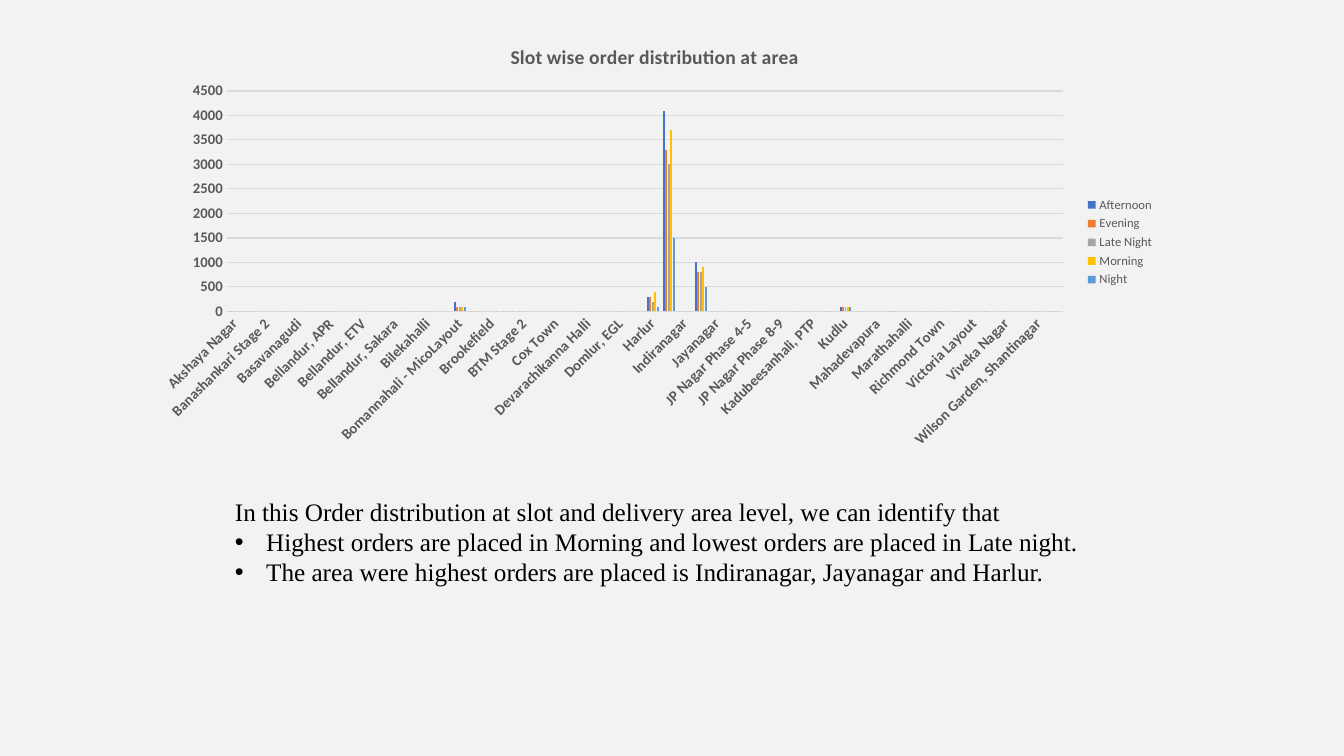
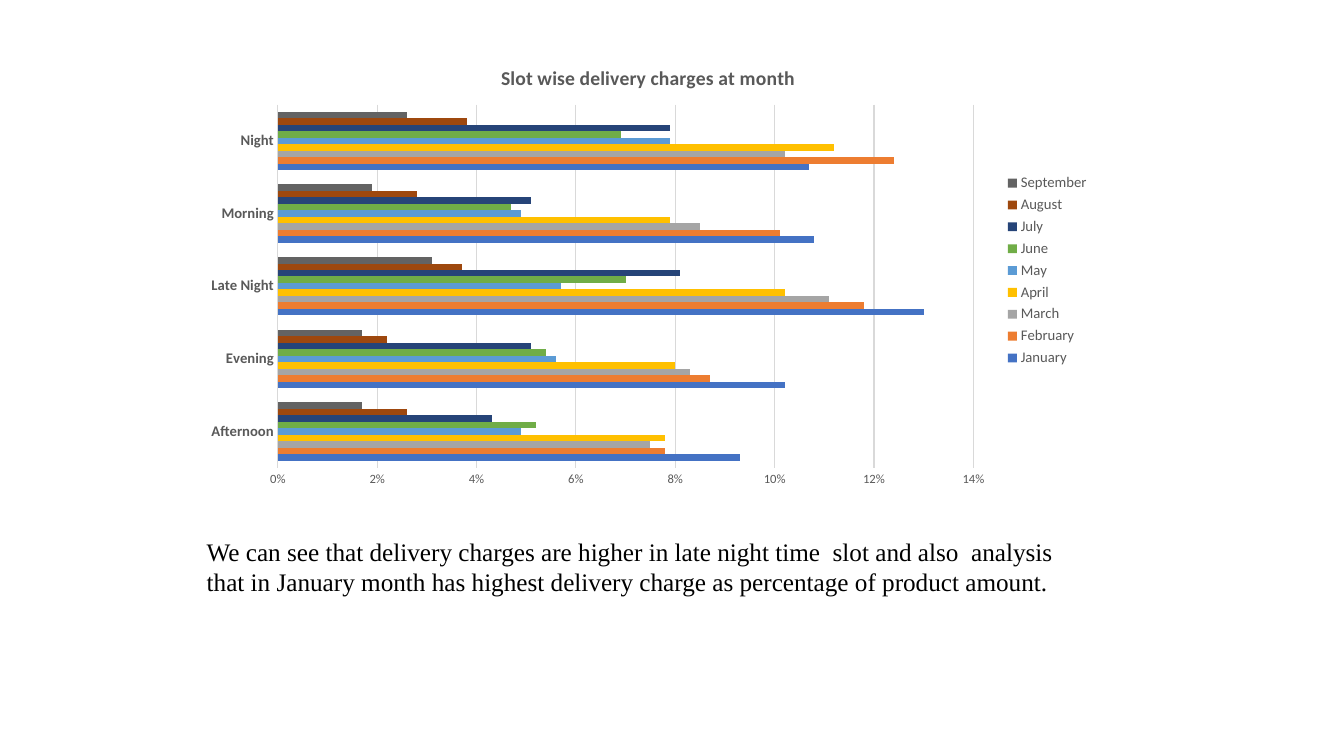
from lxml import etree
from pptx import Presentation
from pptx.chart.data import CategoryChartData
from pptx.dml.color import RGBColor
from pptx.enum.chart import XL_CHART_TYPE, XL_LEGEND_POSITION, XL_TICK_MARK
from pptx.enum.text import MSO_ANCHOR, MSO_AUTO_SIZE
from pptx.oxml.ns import qn
from pptx.util import Inches, Pt

COLUMN, BAR = XL_CHART_TYPE.COLUMN_CLUSTERED, XL_CHART_TYPE.BAR_CLUSTERED
RIGHT, NO_TICK = XL_LEGEND_POSITION.RIGHT, XL_TICK_MARK.NONE
TOP, NO_AUTOFIT = MSO_ANCHOR.TOP, MSO_AUTO_SIZE.NONE
N = None  # no orders recorded

THEME = {
    "text": "000000", "muted": "595959", "grid": "D9D9D9",
    "series": ["4472C4", "ED7D31", "A5A5A5", "FFC000", "5B9BD5",
               "70AD47", "264478", "9E480E", "636363"],
    "chart_font": "Calibri", "body_font": "Times New Roman",
    "title_size": 14, "axis_size": 10.5, "small_size": 9, "chart_size": 10, "body_size": 18,
    "line": 0.75, "gap": 219, "indent": 0.31,
}

AREAS = [
    "Akshaya Nagar", "Arekere", "Banashankari Stage 2", "Bannerghatta", "Basavanagudi",
    "Bellandur - Off Sarjapur Road", "Bellandur, APR", "Bellandur, Techpark", "Bellandur, ETV",
    "Bellandur, Green Glen", "Bellandur, Sakara", "Bellandur, Sarjapur Road", "Bilekahalli",
    "Binnipet", "Bomannahali - MicoLayout", "Bommanahalli", "Brookefield", "BTM Stage 1",
    "BTM Stage 2", "Challagatta", "Cox Town", "CV Raman Nagar", "Devarachikanna Halli",
    "Doddanekundi", "Domlur, EGL", "Frazer Town", "Harlur", "HSR Layout", "Indiranagar",
    "ITI Layout", "Jayanagar", "JP Nagar Phase 1-3", "JP Nagar Phase 4-5",
    "JP Nagar Phase 6-7", "JP Nagar Phase 8-9", "Kadubeesanhali, Parkside",
    "Kadubeesanhali, PTP", "Koramangala, Ejipura", "Kudlu", "Kumaraswamy Layout",
    "Mahadevapura", "Manipal County", "Marathahalli", "Pattandur", "Richmond Town",
    "Sarjapur Road", "Victoria Layout", "Vimanapura", "Viveka Nagar", "Whitefield",
    "Wilson Garden, Shantinagar", "Yemalur",
]
ORDERS = {
    "Afternoon": [0, 0, N, N, N, 0, 0, N, N, 0, 0, 0, 0, N, 200, 0, N, 0, 0, N, N, N, 0, N, 0, N,
                  300, 4100, 0, 1000, 0, N, 0, 0, N, 0, N, 0, 100, 0, N, 0, N, 0, 0, 0, N, 0, 0,
                  N, N, 0],
    "Evening": [0, 0, 0, 0, 0, 0, 0, N, N, 0, 0, 0, 0, N, 100, 0, N, 0, 0, N, N, N, 0, N, N, N,
                300, 3300, N, 800, 0, 0, 0, N, 0, N, N, 0, 100, 0, N, 0, 0, N, N, 0, N, N, 0,
                0, 0, 0],
    "Late Night": [0, 0, 0, N, N, 0, 0, 0, N, 0, 0, 0, 0, N, 100, 0, N, 0, 0, N, N, N, 0, 0, 0, 0,
                   200, 3000, 0, 800, N, 0, 0, 0, N, 0, N, 0, 100, N, N, 0, N, N, N, 0, N, N, N,
                   N, 0, 0],
    "Morning": [0, N, N, 0, N, 0, 0, N, 0, 0, N, 0, 0, 0, 100, 0, N, 0, 0, N, 0, N, N, N, 0, N,
                400, 3700, 0, 900, 0, 0, 0, 0, N, N, N, 0, 100, 0, 0, 0, 0, N, N, N, N, N, N,
                N, N, 0],
    "Night": [0, 0, N, 0, 0, 0, N, N, 0, 0, N, 0, N, N, 100, 0, 0, 0, 0, 0, N, 0, 0, N, 0, N,
              100, 1500, 0, 500, N, 0, 0, N, N, 0, 0, 0, 100, 0, N, 0, 0, N, N, 0, 0, N, 0,
              N, 0, N],
}
SLOTS = ["Afternoon", "Evening", "Late Night", "Morning", "Night"]
CHARGES = {
    "January": [0.093, 0.102, 0.13, 0.108, 0.107],
    "February": [0.078, 0.087, 0.118, 0.101, 0.124],
    "March": [0.075, 0.083, 0.111, 0.085, 0.102],
    "April": [0.078, 0.08, 0.102, 0.079, 0.112],
    "May": [0.049, 0.056, 0.057, 0.049, 0.079],
    "June": [0.052, 0.054, 0.07, 0.047, 0.069],
    "July": [0.043, 0.051, 0.081, 0.051, 0.079],
    "August": [0.026, 0.022, 0.037, 0.028, 0.038],
    "September": [0.017, 0.017, 0.031, 0.019, 0.026],
}

# "plot" is the inner plot area as fractions of the chart: x, y, w, h
SLIDES = [
    {
        "background": "F2F2F2",
        "chart": {
            "kind": COLUMN, "at": (1.44, 0.26, 10.11, 4.29), "plot": (0.08, 0.15, 0.82, 0.51),
            "title": "Slot wise order distribution at area",
            "categories": AREAS, "series": ORDERS, "overlap": -27,
            "max": 4500, "step": 500, "format": "General", "slanted": True,
            "value_size": THEME["axis_size"], "value_bold": True,
            "legend_size": THEME["small_size"],
        },
        "text_at": (2.23, 4.87, 9.69, 1.01),
        "lead": "In this Order distribution at slot and delivery area level, we can identify that",
        "bullets": [
            "Highest orders are placed in Morning and lowest orders are placed in Late night.",
            "The area were highest orders are placed is Indiranagar, Jayanagar and Harlur.",
        ],
    },
    {
        "background": "FFFFFF",
        "chart": {
            "kind": BAR, "at": (1.95, 0.46, 8.96, 4.45), "plot": (0.09, 0.13, 0.77, 0.81),
            "title": "Slot wise delivery charges at month",
            "categories": SLOTS, "series": CHARGES, "overlap": 0,
            "max": 0.14, "step": 0.02, "format": "0%", "slanted": False,
            "value_size": THEME["small_size"], "value_bold": False,
            "legend_size": THEME["axis_size"],
        },
        "text_at": (1.95, 5.27, 8.96, 0.71),
        "lead": "We can see that delivery charges are higher in late night time  slot and also  "
                "analysis that in January month has highest delivery charge as percentage of "
                "product amount.",
        "bullets": [],
    },
]


def rgb(color):
    return RGBColor.from_string(color)


def box(at):
    return [Inches(v) for v in at]


def style_font(font, size, color, name, bold=False):
    for key, value in {"size": Pt(size), "name": name, "bold": bold}.items():
        setattr(font, key, value)
    font.color.rgb = rgb(color)


def style_chart_font(font, size, bold=False):
    style_font(font, size, THEME["muted"], THEME["chart_font"], bold)


def style_line(line):
    line.color.rgb = rgb(THEME["grid"])
    line.width = Pt(THEME["line"])


def place_plot(chart, fractions):
    area = chart._chartSpace.chart.plotArea
    for old in area.findall(qn("c:layout")):
        area.remove(old)
    layout = etree.Element(qn("c:layout"))
    manual = etree.SubElement(layout, qn("c:manualLayout"))
    values = [("layoutTarget", "inner"), ("xMode", "edge"), ("yMode", "edge")]
    for tag, value in values + list(zip("xywh", fractions)):
        etree.SubElement(manual, qn(f"c:{tag}")).set("val", str(value))
    area.insert(0, layout)


def slant_labels(axis):
    """Turn the category labels by 45 degrees and show every second one."""
    element = axis._element
    element.find(qn("c:txPr")).find(qn("a:bodyPr")).set("rot", "-2700000")
    skip = etree.Element(qn("c:tickLblSkip"))
    skip.set("val", "2")
    element.find(qn("c:noMultiLvlLbl")).addprevious(skip)


def add_slot_chart(s, c):
    data = CategoryChartData()
    data.categories = c["categories"]
    for name, values in c["series"].items():
        data.add_series(name, values)
    chart = s.shapes.add_chart(c["kind"], *box(c["at"]), data).chart
    style_font(chart.font, THEME["chart_size"], THEME["text"], THEME["chart_font"])

    p = chart.chart_title.text_frame.paragraphs[0]
    r = p.add_run()
    r.text = c["title"]
    style_chart_font(r.font, THEME["title_size"], True)

    plot = chart.plots[0]
    plot.gap_width, plot.overlap, plot.vary_by_categories = THEME["gap"], c["overlap"], False
    for series, color in zip(plot.series, THEME["series"]):
        series.format.fill.solid()
        series.format.fill.fore_color.rgb = rgb(color)
        series.invert_if_negative = False

    cat, val = chart.category_axis, chart.value_axis
    for axis in (cat, val):
        axis.major_tick_mark = axis.minor_tick_mark = NO_TICK
    style_chart_font(cat.tick_labels.font, THEME["axis_size"], True)
    style_line(cat.format.line)
    style_chart_font(val.tick_labels.font, c["value_size"], c["value_bold"])
    val.format.line.fill.background()
    style_line(val.major_gridlines.format.line)
    val.minimum_scale, val.maximum_scale, val.major_unit = 0, c["max"], c["step"]
    val.tick_labels.number_format = c["format"]
    val.tick_labels.number_format_is_linked = False
    if c["slanted"]:
        slant_labels(cat)

    chart.has_legend = True
    chart.legend.position = RIGHT
    chart.legend.include_in_layout = False
    style_chart_font(chart.legend.font, c["legend_size"])
    place_plot(chart, c["plot"])


def set_bullet(p, bulleted):
    pPr = p._p.get_or_add_pPr()
    indent = Inches(THEME["indent"]) if bulleted else 0
    pPr.set("marL", str(indent))
    pPr.set("indent", str(-indent))
    if bulleted:
        etree.SubElement(pPr, qn("a:buFont")).set("typeface", "Arial")
        etree.SubElement(pPr, qn("a:buChar")).set("char", "•")
    else:
        etree.SubElement(pPr, qn("a:buNone"))


def fill_body(body, at, lead, bullets):
    body.left, body.top, body.width, body.height = box(at)
    tf = body.text_frame
    tf.word_wrap, tf.auto_size, tf.vertical_anchor = True, NO_AUTOFIT, TOP
    for i, text in enumerate([lead, *bullets]):
        p = tf.add_paragraph() if i else tf.paragraphs[0]
        set_bullet(p, i > 0)
        p.space_before = p.space_after = Pt(0)
        p.line_spacing = 1.0
        r = p.add_run()
        r.text = text
        style_font(r.font, THEME["body_size"], THEME["text"], THEME["body_font"])


def main():
    prs = Presentation()
    prs.slide_width, prs.slide_height = Inches(13.33), Inches(7.5)
    for content in SLIDES:
        s = prs.slides.add_slide(prs.slide_layouts[1])
        s.background.fill.solid()
        s.background.fill.fore_color.rgb = rgb(content["background"])
        title = s.shapes.title._element
        title.getparent().remove(title)
        add_slot_chart(s, content["chart"])
        fill_body(s.placeholders[1], content["text_at"], content["lead"], content["bullets"])
    prs.save("out.pptx")


if __name__ == "__main__":
    main()
